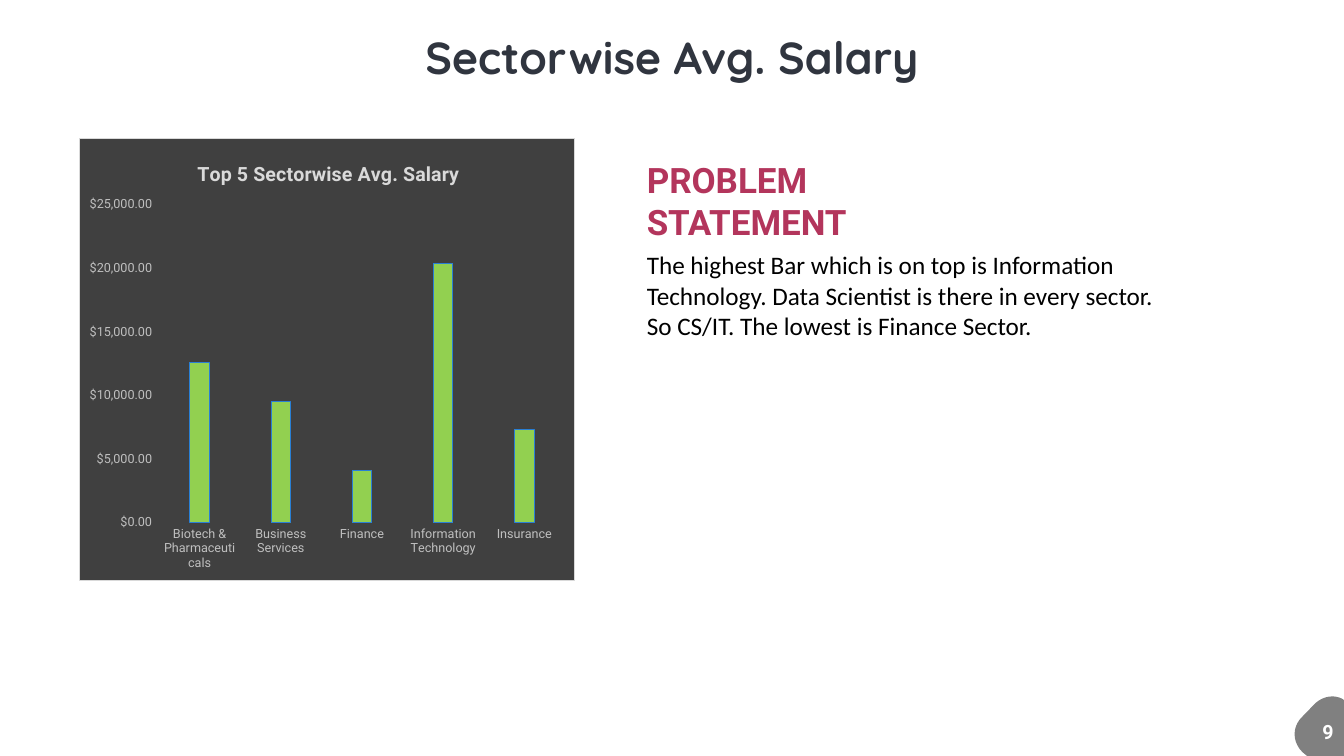
import lxml.etree
import pptx
import pptx.chart.data
import pptx.dml.color
import pptx.enum.chart
import pptx.enum.text
import pptx.oxml.ns
import pptx.util
from pptx.util import Cm

AVERAGE_SALARIES = {
    "Biotech & Pharmaceuticals": 12600,
    "Business Services": 9500,
    "Finance": 4100,
    "Information Technology": 20400,
    "Insurance": 7300,
}
STATEMENT = (
    "The highest Bar which is on top is Information Technology. "
    "Data Scientist is there in every sector. So CS/IT. "
    "The lowest is Finance Sector."
)


def color(hex_string):
    return pptx.dml.color.RGBColor.from_string(hex_string)


def format_font(font, name, size, hex_string, bold=False):
    font.name = name
    font.size = pptx.util.Pt(size)
    font.color.rgb = color(hex_string)
    font.bold = bold


def place(shape, left, top, width, height):
    shape.left, shape.top = Cm(left), Cm(top)
    shape.width, shape.height = Cm(width), Cm(height)


def fill_text(shape, text, font_settings, wrap=True, alignment=None):
    text_frame = shape.text_frame
    text_frame.text = text
    text_frame.word_wrap = wrap
    text_frame.vertical_anchor = pptx.enum.text.MSO_ANCHOR.TOP
    paragraph = text_frame.paragraphs[0]
    paragraph.alignment = alignment
    format_font(paragraph.runs[0].font, *font_settings)


def add_text(slide, text, box, font_settings, wrap=True, alignment=None):
    shape = slide.shapes.add_textbox(*map(Cm, box))
    fill_text(shape, text, font_settings, wrap, alignment)


def set_title(slide, left, top, width, height):
    title = slide.shapes.title
    place(title, left, top, width, height)
    fill_text(title, "Sectorwise Avg. Salary", ("Quicksand", 32, "30353F", True),
              False, pptx.enum.text.PP_ALIGN.CENTER)
    frame = title.text_frame
    frame.margin_left = frame.margin_right = frame.margin_top = frame.margin_bottom = 0


def set_layout(parent, successor, **settings):
    """Fix the place of a chart part by fractions of the chart's size."""
    for old in parent.findall(pptx.oxml.ns.qn("c:layout")):
        parent.remove(old)
    layout = lxml.etree.Element(pptx.oxml.ns.qn("c:layout"))
    manual = lxml.etree.SubElement(layout, pptx.oxml.ns.qn("c:manualLayout"))
    for name, value in settings.items():
        lxml.etree.SubElement(manual, pptx.oxml.ns.qn("c:" + name)).set("val", str(value))
    successor.addprevious(layout)


def style_chart_area(chart):
    """Give the chart a dark background with a thin light border."""
    area = lxml.etree.Element(pptx.oxml.ns.qn("c:spPr"))
    border = lxml.etree.Element(pptx.oxml.ns.qn("a:ln"), w=str(pptx.util.Pt(0.75)))
    for parent, hex_string in ((area, "404040"), (border, "D9D9D9")):
        solid = lxml.etree.SubElement(parent, pptx.oxml.ns.qn("a:solidFill"))
        lxml.etree.SubElement(solid, pptx.oxml.ns.qn("a:srgbClr"), val=hex_string)
    area.append(border)
    chart.element.find(pptx.oxml.ns.qn("c:chart")).addnext(area)


def add_salary_chart(slide, left, top, width, height):
    data = pptx.chart.data.CategoryChartData()
    data.categories = list(AVERAGE_SALARIES)
    data.add_series("Series 1", list(AVERAGE_SALARIES.values()))
    chart = slide.shapes.add_chart(
        pptx.enum.chart.XL_CHART_TYPE.COLUMN_CLUSTERED,
        Cm(left), Cm(top), Cm(width), Cm(height), data).chart
    format_font(chart.font, "Roboto", 10, "000000")
    chart.has_legend = False
    style_chart_area(chart)

    title = chart.chart_title
    title.text_frame.text = "Top 5 Sectorwise Avg. Salary"
    format_font(title.text_frame.paragraphs[0].runs[0].font, "Roboto", 14, "D9D9D9", True)
    title.include_in_layout = False
    title_element = title._element
    set_layout(title_element, title_element.find(pptx.oxml.ns.qn("c:overlay")),
               xMode="edge", yMode="edge", x=0.23, y=0.04)

    plot_area = chart.element.find(".//" + pptx.oxml.ns.qn("c:plotArea"))
    set_layout(plot_area, plot_area.find(pptx.oxml.ns.qn("c:barChart")),
               layoutTarget="inner", xMode="edge", yMode="edge",
               x=0.16, y=0.15, w=0.82, h=0.72)

    for axis in (chart.category_axis, chart.value_axis):
        axis.has_major_gridlines = False
        axis.major_tick_mark = pptx.enum.chart.XL_TICK_MARK.NONE
        axis.minor_tick_mark = pptx.enum.chart.XL_TICK_MARK.NONE
        axis.format.line.fill.background()
        format_font(axis.tick_labels.font, "Roboto", 9, "BFBFBF")
    value_axis = chart.value_axis
    value_axis.minimum_scale, value_axis.maximum_scale = 0, 25000
    value_axis.major_unit = 5000
    value_axis.tick_labels.number_format = r'"$"#,##0.00_);\("$"#,##0.00\)'
    value_axis.tick_labels.number_format_is_linked = False

    plot = chart.plots[0]
    plot.gap_width, plot.overlap = 315, -40
    plot.vary_by_categories = False
    bars = plot.series[0].format
    bars.fill.solid()
    bars.fill.fore_color.rgb = color("92D050")
    bars.line.color.rgb = color("297FD5")
    bars.line.width = pptx.util.Pt(0.75)


def add_statement(slide, left, top, width):
    add_text(slide, "PROBLEM STATEMENT", (left, top, 9.63, 1.32),
             ("Roboto", 25, "B3355C", True))
    add_text(slide, STATEMENT, (left, top + 2.31, width, 2.57),
             ("Calibri", 18, "000000"))


def curve(start, first, second, end, steps=10):
    """Points along a cubic curve, without its start."""
    return [
        tuple((1 - t) ** 3 * a + 3 * (1 - t) ** 2 * t * b + 3 * (1 - t) * t ** 2 * c + t ** 3 * d
              for a, b, c, d in zip(start, first, second, end))
        for t in (step / steps for step in range(1, steps + 1))
    ]


def add_page_badge(slide, left, top, width, height):
    """Rounded corner badge that runs into the slide's edges."""
    peak = (0.98, 0)
    outline = [
        *curve(peak, (1.06, 0), (1.13, 0.02), (1.21, 0.05)),
        (width, 0.09), (width, height), (0.34, height), (0.22, 1.4),
        *curve((0.22, 1.4), (-0.04, 1.14), (-0.04, 0.76), (0.22, 0.51)),
        (0.52, 0.2),
        *curve((0.52, 0.2), (0.65, 0.07), (0.81, 0), peak),
    ]
    points = [(Cm(left + x), Cm(top + y)) for x, y in outline]
    builder = slide.shapes.build_freeform(*points[0])
    builder.add_line_segments(points[1:], close=True)
    badge = builder.convert_to_shape()
    badge.shadow.inherit = False
    badge.fill.solid()
    badge.fill.fore_color.rgb = color("808080")
    badge.line.fill.background()
    add_text(slide, "9", (left + 0.47, top + 0.46, 0.8, 0.86),
             ("Roboto", 14, "FFFFFF", True), False, pptx.enum.text.PP_ALIGN.CENTER)


def main():
    presentation = pptx.Presentation()
    presentation.slide_width, presentation.slide_height = Cm(33.87), Cm(19.05)
    slide = presentation.slides.add_slide(presentation.slide_layouts[5])
    add_page_badge(slide, 32.6, 17.55, 1.27, 1.5)
    set_title(slide, 10.69, 0.74, 12.5, 1.37)
    add_salary_chart(slide, 2, 3.48, 12.5, 11.15)
    add_statement(slide, 16.05, 3.86, 13.51)
    presentation.save("out.pptx")


if __name__ == "__main__":
    main()
